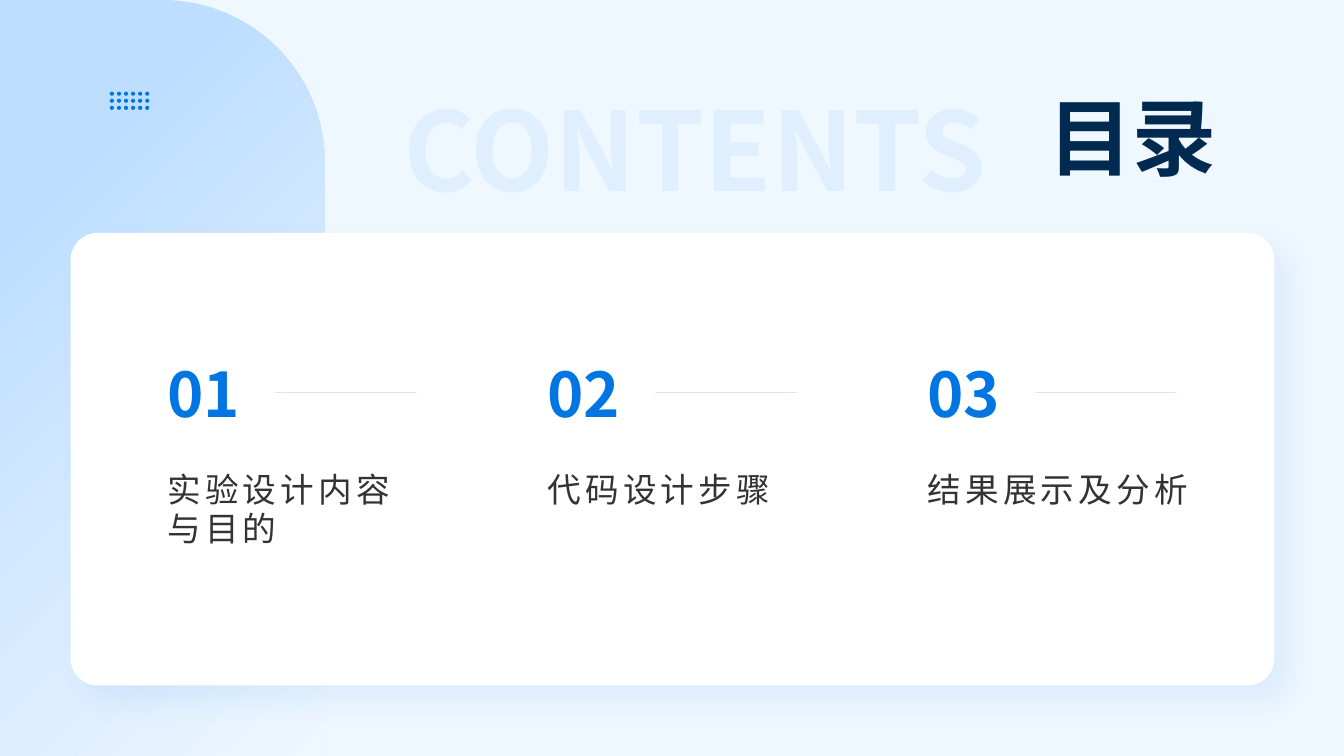
import math

import pptx
import pptx.dml.color
import pptx.enum.dml
import pptx.enum.shapes
import pptx.enum.text
import pptx.oxml
import pptx.oxml.ns
import pptx.util

Inches = pptx.util.Inches
Pt = pptx.util.Pt
RGBColor = pptx.dml.color.RGBColor
ANCHOR = pptx.enum.text.MSO_ANCHOR
SHAPE = pptx.enum.shapes.MSO_SHAPE

# Content
TITLE = "目录"
BACKDROP_WORD = "CONTENTS"
CHAPTERS = [  # number, heading, heading width
    ("01", "实验设计内容与目的", 2.57),
    ("02", "代码设计步骤", 2.47),
    ("03", "结果展示及分析", 2.67),
]

# Style
FONT = "Noto Sans CJK SC"
BLUE = RGBColor(0x01, 0x76, 0xE3)
NAVY = RGBColor(0x00, 0x2A, 0x50)
GREY = RGBColor(0x33, 0x33, 0x33)
WHITE = RGBColor(0xFF, 0xFF, 0xFF)
PALE = RGBColor(0xEF, 0xF7, 0xFF)
SKY = RGBColor(0xBE, 0xDE, 0xFF)
ICE = RGBColor(0xC7, 0xE4, 0xFF)

# Layout, in inches
CHAPTER_LEFT, CHAPTER_PITCH = 1.66, 3.77
NUMBER_TOP, NUMBER_WIDTH, NUMBER_HEIGHT = 3.44, 1.07, 0.91
HEADING_TOP, HEADING_HEIGHT = 4.66, 1.29
RULE_LENGTH = 1.4
DOT_COLUMNS, DOT_ROWS, DOT_PITCH, DOT_RADIUS = 6, 3, 0.07, 0.02
DOT_LEFT, DOT_TOP = 1.11, 0.93
DOT_SIDES = 16


def set_alpha(color_parent, percent):
    color = next(color_parent.iter(pptx.oxml.ns.qn("a:srgbClr")))
    alpha = color.makeelement(pptx.oxml.ns.qn("a:alpha"), {"val": str(percent * 1000)})
    color.append(alpha)


def add_effects(shape, content=""):
    shape._element.spPr.append(pptx.oxml.parse_xml(
        f'<a:effectLst {pptx.oxml.ns.nsdecls("a")}>{content}</a:effectLst>'))


def write(shape, text, size, color, bold=False, anchor=ANCHOR.TOP, wrap=True):
    frame = shape.text_frame
    frame.auto_size = pptx.enum.text.MSO_AUTO_SIZE.NONE
    frame.word_wrap = wrap
    frame.vertical_anchor = anchor
    frame.margin_left = frame.margin_right = 0
    frame.margin_top = frame.margin_bottom = 0
    run = frame.paragraphs[0].add_run()
    run.text = text
    run.font.size = Pt(size)
    run.font.bold = bold
    run.font.color.rgb = color
    run.font.name = FONT
    properties = run._r.get_or_add_rPr()
    latin = properties.find(pptx.oxml.ns.qn("a:latin"))
    latin.addnext(properties.makeelement(pptx.oxml.ns.qn("a:ea"), {"typeface": FONT}))
    return frame.paragraphs[0], properties


def add_text(shapes, left, top, width, height, *args, **style):
    box = shapes.add_textbox(Inches(left), Inches(top), Inches(width), Inches(height))
    return box, *write(box, *args, **style)


def add_corner_panel(shapes):
    panel = shapes.add_shape(SHAPE.ROUND_1_RECTANGLE, 0, 0, Inches(3.22), Inches(7.5))
    panel.adjustments[0] = 0.5
    panel.shadow.inherit = False
    panel.line.fill.background()
    panel.fill.gradient()
    panel.fill.gradient_angle = 315
    for stop, color, position in zip(panel.fill.gradient_stops, (SKY, PALE), (0.21, 1)):
        stop.color.rgb = color
        stop.position = position


def add_dot_grid(shapes):
    circles = []
    for row in range(DOT_ROWS):
        for column in range(DOT_COLUMNS):
            x, y = DOT_LEFT + column * DOT_PITCH, DOT_TOP + row * DOT_PITCH
            angles = [2 * math.pi * side / DOT_SIDES for side in range(DOT_SIDES)]
            circles.append([(Inches(x + DOT_RADIUS * math.cos(angle)),
                             Inches(y + DOT_RADIUS * math.sin(angle))) for angle in angles])
    builder = shapes.build_freeform(*circles[0][0])
    for index, circle in enumerate(circles):
        if index:
            builder.move_to(*circle[0])
        builder.add_line_segments(circle[1:], close=True)
    dots = builder.convert_to_shape()
    dots.shadow.inherit = False
    dots.fill.solid()
    dots.fill.fore_color.rgb = BLUE
    dots.line.fill.background()


def add_card(shapes):
    card = shapes.add_shape(SHAPE.ROUNDED_RECTANGLE, Inches(0.7), Inches(2.31),
                            Inches(11.94), Inches(4.49))
    card.adjustments[0] = 0.06
    card.fill.solid()
    card.fill.fore_color.rgb = WHITE
    card.line.fill.background()
    add_effects(card, f'<a:outerShdw blurRad="{Pt(20)}" dist="{Pt(16)}" dir="2700000" '
                      f'algn="tl" rotWithShape="0"><a:srgbClr val="{BLUE}">'
                      '<a:alpha val="8000"/></a:srgbClr></a:outerShdw>')


def add_chapter(shapes, left, number, heading, heading_width):
    number_box, _, _ = add_text(shapes, left, NUMBER_TOP, NUMBER_WIDTH, NUMBER_HEIGHT,
                                number, 44, BLUE, bold=True, anchor=ANCHOR.MIDDLE, wrap=False)
    _, paragraph, properties = add_text(shapes, left, HEADING_TOP, heading_width,
                                        HEADING_HEIGHT, heading, 24, GREY)
    paragraph.line_spacing = Pt(28)
    properties.set("spc", "300")

    rule_left, rule_y = left + NUMBER_WIDTH, NUMBER_TOP + NUMBER_HEIGHT / 2
    rule = shapes.add_connector(pptx.enum.shapes.MSO_CONNECTOR.STRAIGHT,
                                Inches(rule_left), Inches(rule_y),
                                Inches(rule_left + RULE_LENGTH), Inches(rule_y))
    rule.begin_connect(number_box, 3)
    rule.line.color.rgb = ICE
    rule.line.width = Pt(0.5)
    set_alpha(rule._element.spPr, 80)
    add_effects(rule)


def main():
    deck = pptx.Presentation()
    deck.slide_width, deck.slide_height = Inches(13.33), Inches(7.5)
    slide = deck.slides.add_slide(deck.slide_layouts[5])
    shapes = slide.shapes

    # Background and decoration
    slide.background.fill.solid()
    slide.background.fill.fore_color.rgb = PALE
    add_corner_panel(shapes)
    add_dot_grid(shapes)
    add_card(shapes)

    # Title and the pale word beside it
    title = shapes.title
    title.left, title.top = Inches(8.92), Inches(0.67)
    title.width, title.height = Inches(3.15), Inches(1.18)
    paragraph, _ = write(title, TITLE, 60, NAVY, bold=True, anchor=ANCHOR.BOTTOM)
    paragraph.alignment = pptx.enum.text.PP_ALIGN.RIGHT
    _, paragraph, properties = add_text(shapes, 4, 1.03, 5.84, 1.08, BACKDROP_WORD,
                                        78, ICE, bold=True, wrap=False)
    paragraph.line_spacing = Pt(78)
    set_alpha(properties, 40)

    # Chapters
    for index, chapter in enumerate(CHAPTERS):
        add_chapter(shapes, CHAPTER_LEFT + index * CHAPTER_PITCH, *chapter)

    deck.save("out.pptx")


if __name__ == "__main__":
    main()
